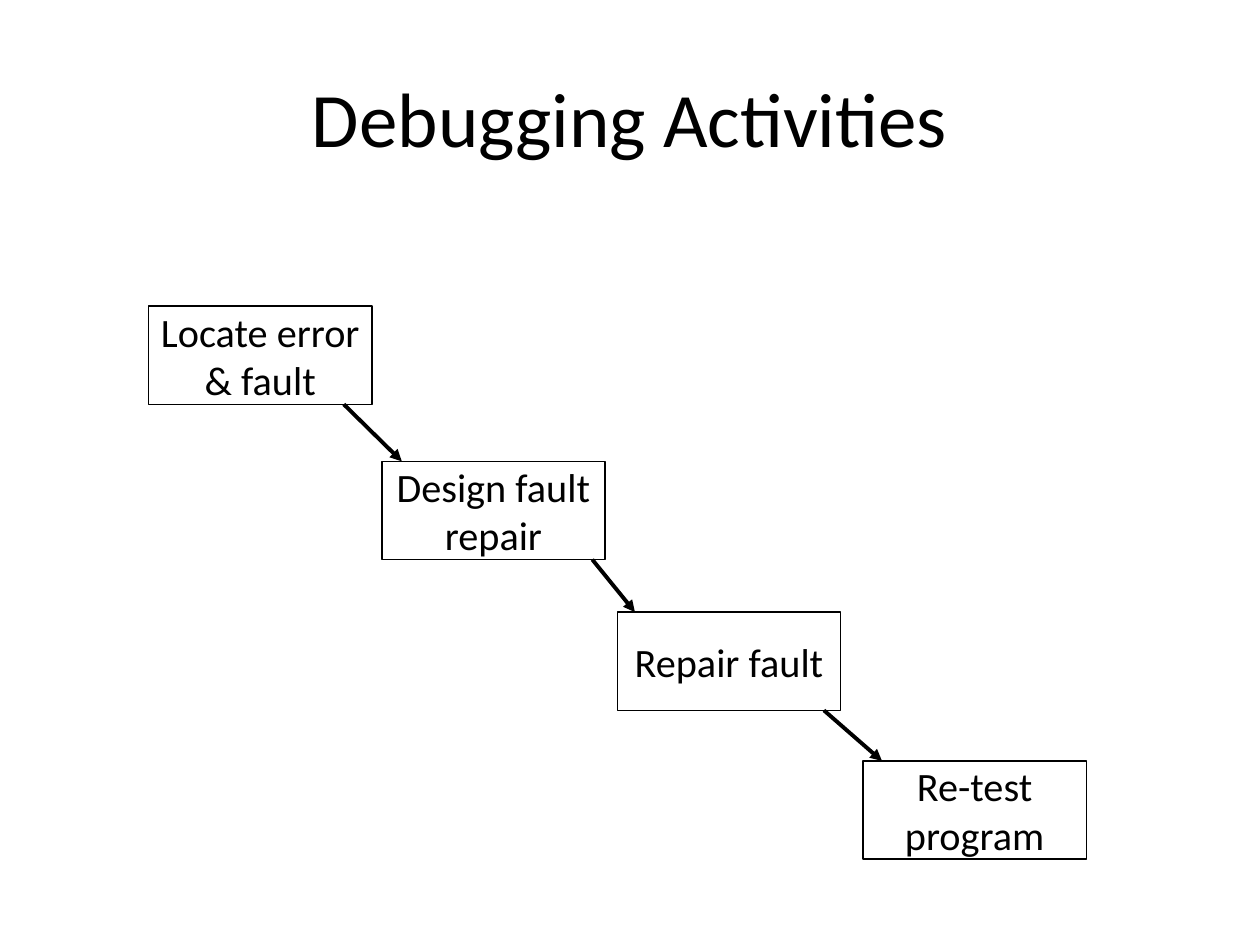
import pptx
import pptx.util
import pptx.dml.color
import pptx.enum.shapes
import pptx.enum.text
import pptx.oxml
import pptx.oxml.ns

Cm, Pt = pptx.util.Cm, pptx.util.Pt
BLACK = pptx.dml.color.RGBColor(0, 0, 0)
WHITE = pptx.dml.color.RGBColor(255, 255, 255)
BOX_W, BOX_H = 4.5, 1.98


def write(tf, lines, size):
    tf.vertical_anchor = pptx.enum.text.MSO_ANCHOR.MIDDLE
    for i, line in enumerate(lines):
        p = tf.add_paragraph() if i else tf.paragraphs[0]
        p.text = line
        p.alignment = pptx.enum.text.PP_ALIGN.CENTER
        p.font.name = "Calibri"
        p.font.size = Pt(size)
        p.font.color.rgb = BLACK


prs = pptx.Presentation()
prs.slide_width, prs.slide_height = Cm(25.4), Cm(19.05)
s = prs.slides.add_slide(prs.slide_layouts[6])

# Title
sp = s.shapes.add_textbox(Cm(1.27), Cm(0.76), Cm(22.86), Cm(3.18))
sp.text_frame.word_wrap = True
write(sp.text_frame, ["Debugging Activities"], 44)

# Activity boxes, stepping down to the right
activities = [
    (3, 6.17, ["Locate error", "& fault"]),
    (7.7, 9.3, ["Design fault", "repair"]),
    (12.45, 12.34, ["Repair fault"]),
    (17.4, 15.34, ["Re-test", "program"]),
]
for x, y, lines in activities:
    sp = s.shapes.add_shape(pptx.enum.shapes.MSO_SHAPE.RECTANGLE,
                            Cm(x), Cm(y), Cm(BOX_W), Cm(BOX_H))
    sp.shadow.inherit = False
    sp.fill.solid()
    sp.fill.fore_color.rgb = WHITE
    sp.line.color.rgb = BLACK
    sp.line.width = Pt(0.75)
    sp.text_frame.word_wrap = False
    write(sp.text_frame, lines, 23)

# Arrows from each box's bottom edge to the top edge of the next
arrow_xs = [(6.93, 8.1), (11.94, 12.8), (16.61, 17.78)]
for (x1, x2), start, end in zip(arrow_xs, activities, activities[1:]):
    arrow = s.shapes.add_connector(pptx.enum.shapes.MSO_CONNECTOR.STRAIGHT,
                                   Cm(x1), Cm(start[1] + BOX_H), Cm(x2), Cm(end[1]))
    arrow.line.color.rgb = BLACK
    arrow.line.width = Pt(2.25)
    ns = pptx.oxml.ns.nsdecls("a")
    arrow.line._get_or_add_ln().append(
        pptx.oxml.parse_xml(f'<a:tailEnd {ns} type="triangle"/>'))
    arrow._element.spPr.append(pptx.oxml.parse_xml(f"<a:effectLst {ns}/>"))

prs.save("out.pptx")
